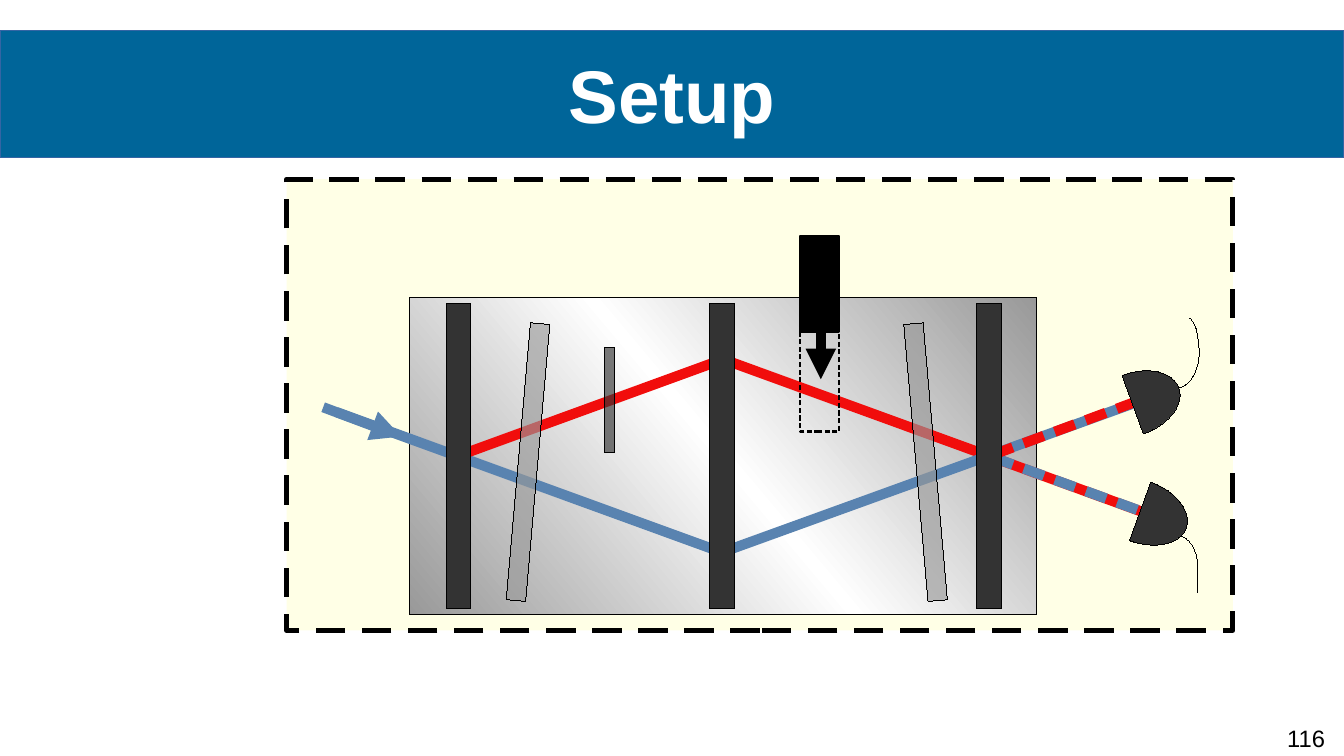
from copy import deepcopy

from lxml.etree import SubElement
from pptx import Presentation
from pptx.dml.color import RGBColor
from pptx.enum.shapes import MSO_CONNECTOR, MSO_SHAPE
from pptx.enum.text import MSO_ANCHOR, PP_ALIGN
from pptx.oxml.ns import qn
from pptx.util import Inches, Pt

COLORS = {
    "white": "FFFFFF",
    "black": "000000",
    "banner": "006599",
    "edge": "3465A4",
    "cream": "FFFFE6",
    "silver": "999999",
    "dark": "333333",
    "blue": "5983B0",
    "red": "F10D0C",
}
HAIR = 0.01


def rgb(name):
    return RGBColor.from_string(COLORS[name])


def set_dash(line, dash, gap):
    style = SubElement(line._get_or_add_ln(), qn("a:custDash"))
    SubElement(style, qn("a:ds"), d=str(dash * 1000), sp=str(gap * 1000))


def add_box(slide, place, fill=None, edge="black", width=HAIR, turn=0,
            kind=MSO_SHAPE.RECTANGLE, alpha=None, dash=None):
    shape = slide.shapes.add_shape(kind, *map(Inches, place))
    shape.shadow.inherit = False
    shape.rotation = turn
    if fill:
        shape.fill.solid()
        shape.fill.fore_color.rgb = rgb(fill)
    else:
        shape.fill.background()
    if alpha:
        color = shape._element.spPr.find(".//" + qn("a:srgbClr"))
        SubElement(color, qn("a:alpha"), val=str(alpha * 1000))
    if edge:
        shape.line.color.rgb = rgb(edge)
        shape.line.width = Pt(width)
    else:
        shape.line.fill.background()
    if dash:
        set_dash(shape.line, *dash)
    return shape


def add_text(shape, text, size, color, bold=False):
    frame = shape.text_frame
    frame.word_wrap = True
    frame.vertical_anchor = MSO_ANCHOR.MIDDLE
    frame.margin_left = frame.margin_right = 0
    frame.margin_top = frame.margin_bottom = 0
    line = frame.paragraphs[0]
    line.text = text
    line.alignment = PP_ALIGN.CENTER
    line.font.name = "Arial"
    line.font.size = Pt(size)
    line.font.bold = bold
    line.font.color.rgb = rgb(color)


def add_bench(slide):
    bench = add_box(slide, (3.36, 2.44, 5.14, 2.6), "silver")
    bench.fill.gradient()
    bench.fill.gradient_angle = 40
    stops = bench._element.spPr.find(".//" + qn("a:gsLst"))
    stops.insert(1, deepcopy(stops[0]))
    shades = ("silver", "white", "silver")
    for stop, shade, place in zip(bench.fill.gradient_stops, shades, (0, 0.5, 1)):
        stop.color.rgb = rgb(shade)
        stop.position = place


def add_line(slide, start, end, color, width=6, arrow=False, dash=None,
             kind=MSO_CONNECTOR.STRAIGHT):
    line = slide.shapes.add_connector(kind, *map(Inches, start + end))
    line.line.color.rgb = rgb(color)
    line.line.width = Pt(width)
    if dash:
        set_dash(line.line, *dash)
    if arrow:
        SubElement(line.line._get_or_add_ln(), qn("a:tailEnd"), type="triangle")
    SubElement(line._element.spPr, qn("a:effectLst"))
    return line


def add_wire(slide, start, end, bend):
    wire = add_line(slide, start, end, "black", HAIR, kind=MSO_CONNECTOR.CURVE)
    shape = wire._element.spPr.find(qn("a:prstGeom"))
    guides = shape.find(qn("a:avLst"))
    if guides is None:
        guides = SubElement(shape, qn("a:avLst"))
    SubElement(guides, qn("a:gd"), name="adj1", fmla=f"val {round(bend * 100000)}")


def add_cap(slide, left, top, turn):
    cap = add_box(slide, (left, top, 0.79, 0.51), "dark", turn=turn,
                  kind=MSO_SHAPE.CHORD)
    cap.adjustments[0] = 52.95
    cap.adjustments[1] = 162.97


def add_beams(slide):
    add_line(slide, (2.65, 3.34), (3.29, 3.58), "blue", arrow=True)
    for start, end, color in (
        ((2.76, 3.38), (5.92, 4.53), "blue"),
        ((3.78, 3.73), (5.92, 2.95), "red"),
        ((5.94, 2.95), (9.4, 4.21), "red"),
        ((5.92, 4.53), (9.4, 3.27), "blue"),
    ):
        add_line(slide, start, end, color)
    add_line(slide, (8.14, 3.75), (9.46, 4.23), "blue", dash=(210, 115))
    add_line(slide, (8.14, 3.73), (9.46, 3.24), "red", dash=(210, 115))


def main():
    deck = Presentation()
    deck.slide_width, deck.slide_height = Inches(11.02), Inches(6.2)
    slide = deck.slides.add_slide(deck.slide_layouts[6])

    number = add_box(slide, (10.4, 5.9, 0.62, 0.3), "white", edge=None)
    add_text(number, "116", 14, "black")
    title = add_box(slide, (0, 0.25, 11.02, 1.04), "banner", "edge")
    add_text(title, "Setup", 44, "white", bold=True)

    add_box(slide, (2.35, 1.47, 7.76, 3.7), "cream", width=3, dash=(575, 330))
    add_bench(slide)
    add_beams(slide)
    for left in (3.66, 5.82, 8.01):
        add_box(slide, (left, 2.49, 0.2, 2.5), "dark")

    add_cap(slide, 8.96, 3.94, 200)
    add_wire(slide, (9.68, 4.4), (9.82, 4.86), 1)
    for left, turn in ((4.25, 5), (7.51, 355)):
        add_box(slide, (left, 2.65, 0.16, 2.28), "silver", turn=turn, alpha=64)
    add_box(slide, (4.96, 2.85, 0.08, 0.86), "dark", alpha=65)

    add_box(slide, (6.56, 1.94, 0.32, 0.78), "black", width=1.5)
    add_line(slide, (6.73, 2.62), (6.73, 3.11), "black", arrow=True)
    add_box(slide, (6.56, 1.94, 0.32, 1.6), width=1.5, dash=(200, 100))
    add_cap(slide, 8.9, 3.06, 160)
    add_wire(slide, (9.66, 3.18), (9.75, 2.61), 1.92)

    deck.save("out.pptx")


if __name__ == "__main__":
    main()
